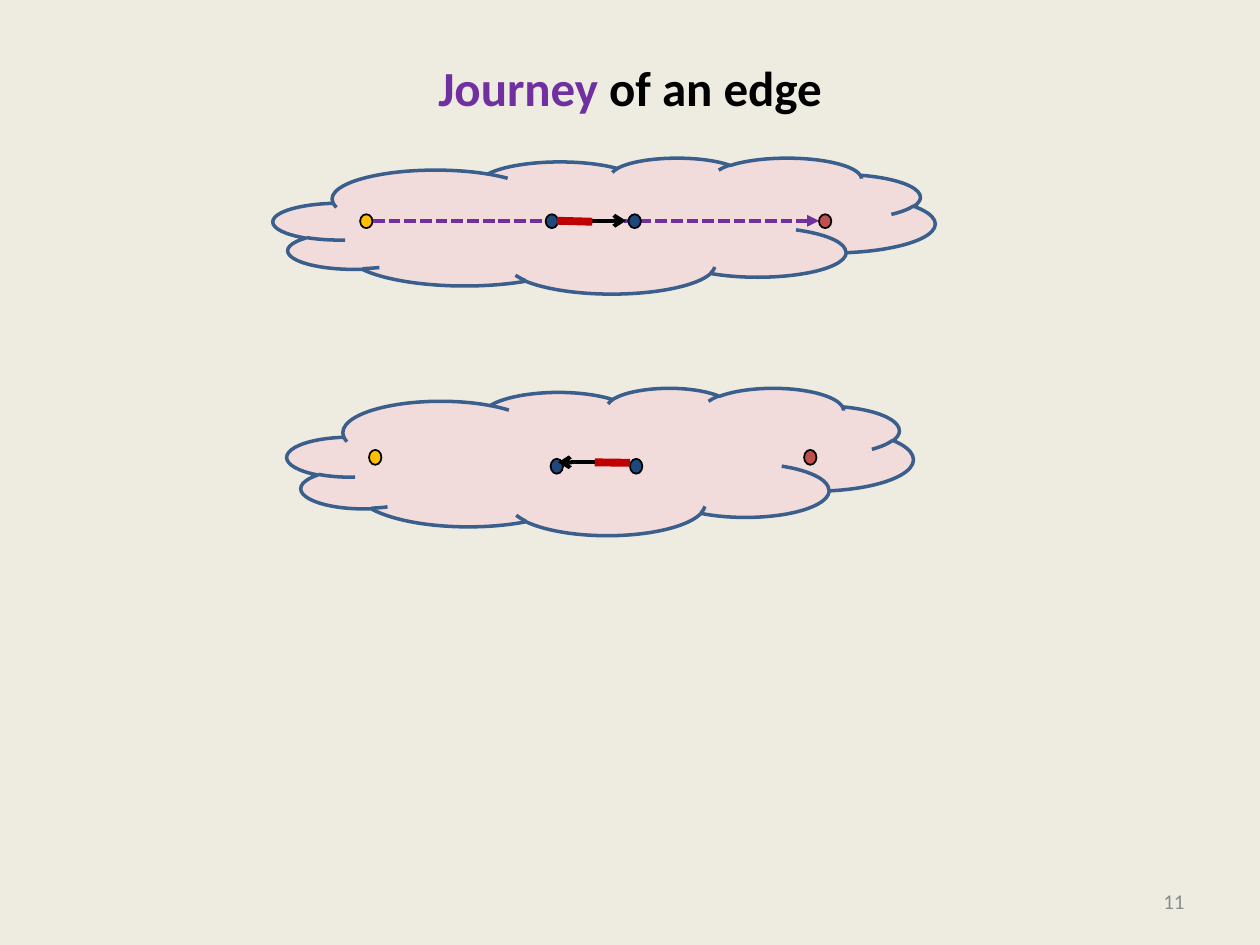
from lxml import etree
from pptx import Presentation
from pptx.dml.color import RGBColor
from pptx.enum.dml import MSO_LINE
from pptx.enum.shapes import MSO_CONNECTOR, MSO_SHAPE
from pptx.enum.text import MSO_ANCHOR, PP_ALIGN
from pptx.oxml.ns import qn
from pptx.util import Cm, Pt

CLOUD, ELLIPSE = MSO_SHAPE.CLOUD, MSO_SHAPE.OVAL
STRAIGHT = MSO_CONNECTOR.STRAIGHT
DASHED = MSO_LINE.SQUARE_DOT
TOP, MIDDLE = MSO_ANCHOR.TOP, MSO_ANCHOR.MIDDLE
CENTER, RIGHT = PP_ALIGN.CENTER, PP_ALIGN.RIGHT

BACKGROUND = RGBColor(0xEE, 0xEC, 0xE1)
PINK = RGBColor(0xF2, 0xDC, 0xDB)
OUTLINE_BLUE = RGBColor(0x3A, 0x5F, 0x8C)
NODE_BLUE = RGBColor(0x1F, 0x49, 0x7D)
YELLOW = RGBColor(0xFF, 0xC0, 0x00)
BRICK = RGBColor(0xC0, 0x50, 0x4D)
RED = RGBColor(0xC0, 0x00, 0x00)
PURPLE = RGBColor(0x70, 0x30, 0xA0)
GRAY = RGBColor(0x8C, 0x8C, 0x8C)
BLACK = RGBColor(0, 0, 0)

NODE_WIDTH = 0.25
TITLE_FONT = {"name": "Calibri", "size": Pt(28), "bold": True}
NUMBER_FONT = {"name": "Calibri", "size": Pt(12), "bold": False}


def set_values(target, values):
    for name, value in values.items():
        setattr(target, name, value)


class SlideBuilder:
    def __init__(self, slide):
        self.slide = slide
        slide.background.fill.solid()
        slide.background.fill.fore_color.rgb = BACKGROUND

    def add_text(self, shape, runs, font, alignment, frame_format):
        """Fill a shape with one paragraph of (text, colour) runs."""
        set_values(shape.text_frame, {"word_wrap": True, **frame_format})
        paragraph = shape.text_frame.paragraphs[0]
        paragraph.alignment = alignment
        for text, color in runs:
            run = paragraph.add_run()
            run.text = text
            set_values(run.font, font)
            run.font.color.rgb = color

    def title(self, left, top, width, height, runs):
        shape = self.slide.shapes.title
        set_values(shape, {"left": Cm(left), "top": Cm(top),
                           "width": Cm(width), "height": Cm(height)})
        self.add_text(shape, runs, TITLE_FONT, CENTER,
                      {"vertical_anchor": TOP, "margin_top": Cm(0.39)})

    def number(self, left, top, width, height, text):
        box = self.slide.shapes.add_textbox(Cm(left), Cm(top), Cm(width), Cm(height))
        self.add_text(box, [(text, GRAY)], NUMBER_FONT, RIGHT,
                      {"vertical_anchor": MIDDLE})

    def shape(self, kind, left, top, width, height, fill, outline, weight):
        shape = self.slide.shapes.add_shape(
            kind, Cm(left), Cm(top), Cm(width), Cm(height))
        shape.shadow.inherit = False
        shape.fill.solid()
        shape.fill.fore_color.rgb = fill
        shape.line.color.rgb = outline
        shape.line.width = Pt(weight)

    def cloud(self, left, top, width, height):
        self.shape(CLOUD, left, top, width, height, PINK, OUTLINE_BLUE, 2)

    def nodes(self, top, height, places):
        """Draw a row of nodes from (left, colour) pairs."""
        for left, color in places:
            self.shape(ELLIPSE, left, top, NODE_WIDTH, height, color, BLACK, 1)

    def line(self, start, end, color, weight, dash=None, arrow=None):
        points = [Cm(value) for value in (*start, *end)]
        connector = self.slide.shapes.add_connector(STRAIGHT, *points)
        connector.line.color.rgb = color
        connector.line.width = Pt(weight)
        if dash:
            connector.line.dash_style = dash
        properties = connector._element.spPr
        if arrow:
            etree.SubElement(properties.find(qn("a:ln")),
                             qn("a:tailEnd"), type=arrow)
        etree.SubElement(properties, qn("a:effectLst"))


def main():
    presentation = Presentation()
    presentation.slide_width, presentation.slide_height = Cm(25.4), Cm(19.05)
    title_only = presentation.slide_layouts[5]
    builder = SlideBuilder(presentation.slides.add_slide(title_only))

    builder.title(1.27, 0.76, 22.86, 3.18,
                  [("Journey ", PURPLE), ("of an edge", BLACK)])
    builder.number(18.21, 17.65, 5.92, 1.02, "11")

    builder.cloud(5.51, 3.18, 13.34, 2.74)
    builder.nodes(4.32, 0.28, [(16.51, BRICK), (7.26, YELLOW)])

    builder.cloud(5.79, 7.82, 12.62, 2.97)
    builder.nodes(9.07, 0.3, [(16.21, BRICK), (7.44, YELLOW)])
    builder.nodes(9.25, 0.3, [(11.1, NODE_BLUE), (12.7, NODE_BLUE)])
    builder.line((12.62, 9.32), (11.25, 9.32), BLACK, 2.25, arrow="arrow")
    builder.line((11.99, 9.32), (12.7, 9.33), RED, 4.5)

    builder.line((7.52, 4.45), (16.51, 4.45), PURPLE, 2.25, DASHED, "triangle")
    builder.line((11.25, 4.45), (12.62, 4.45), BLACK, 2.25, arrow="arrow")
    builder.nodes(4.32, 0.28, [(11, NODE_BLUE), (12.67, NODE_BLUE)])
    builder.line((11.23, 4.45), (11.94, 4.47), RED, 4.5)

    presentation.save("out.pptx")


if __name__ == "__main__":
    main()
